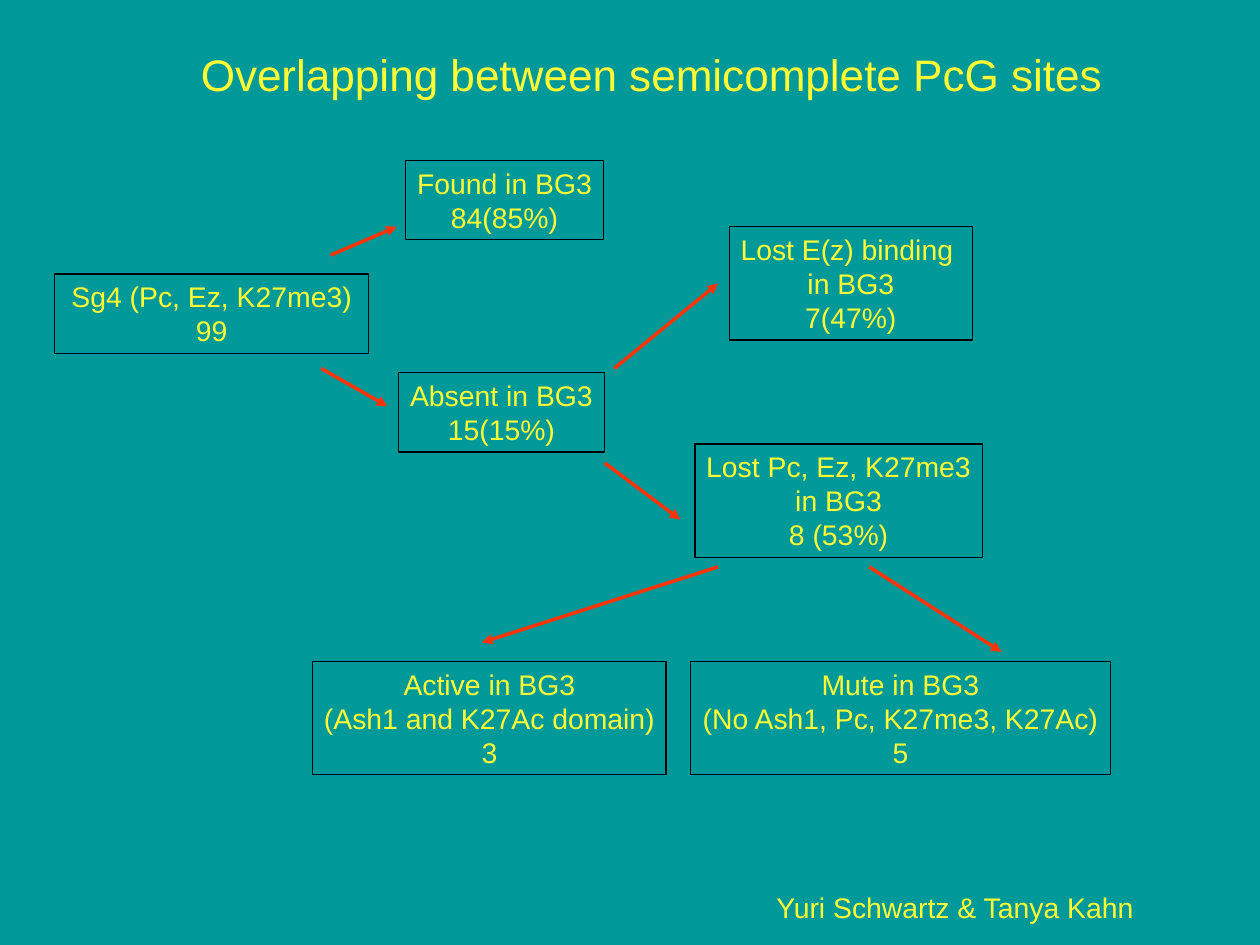
from dataclasses import dataclass

from lxml import etree
from pptx import Presentation, util as u
from pptx.dml.color import RGBColor
from pptx.enum import shapes, text
from pptx.oxml import ns

COLORS = {"background": "009999", "text": "FFFC35", "border": "000000", "arrow": "FF3300"}
FONT = "Arial"
CELLS_PER_INCH = 12
LINE_ROWS = 3.6
PADDING_ROWS = 1.2


@dataclass
class Box:
    column: float
    row: float
    columns: float
    lines: tuple[str, ...]


@dataclass
class Arrow:
    start: tuple[float, float]
    end: tuple[float, float]


BOXES = [
    Box(5.8, 29, 33.2, ("Sg4 (Pc, Ez, K27me3)", "99")),
    Box(42.95, 17, 20.9, ("Found in BG3", "84(85%)")),
    Box(42.2, 39.45, 21.75, ("Absent in BG3", "15(15%)")),
    Box(77.2, 24, 25.7, ("Lost E(z) binding ", "in BG3", "7(47%)")),
    Box(73.55, 47, 30.4, ("Lost Pc, Ez, K27me3", "in BG3", "8 (53%)")),
    Box(33.1, 70, 37.4, ("Active in BG3", "(Ash1 and K27Ac domain)", "3")),
    Box(73.1, 70, 44.4, ("Mute in BG3", "(No Ash1, Pc, K27me3, K27Ac)", "5")),
]
ARROWS = [
    Arrow((35, 27), (42, 24)),
    Arrow((34, 39), (41, 43)),
    Arrow((65, 39), (76, 30)),
    Arrow((64, 49), (72, 55)),
    Arrow((76, 60), (51, 68)),
    Arrow((92, 60), (106, 69)),
]


def cells(*counts: float) -> list[int]:
    """Convert grid columns or rows to slide lengths."""
    return [u.Inches(count / CELLS_PER_INCH) for count in counts]


def color(name: str) -> RGBColor:
    return RGBColor.from_string(COLORS[name])


def write_lines(shape, lines: tuple[str, ...], size: int, alignment: text.PP_ALIGN) -> None:
    frame = shape.text_frame
    frame.text = "\n".join(lines)
    frame.word_wrap = False
    frame.auto_size = text.MSO_AUTO_SIZE.NONE
    frame.vertical_anchor = text.MSO_ANCHOR.TOP
    for paragraph in frame.paragraphs:
        paragraph.alignment = alignment
        paragraph.font.name = FONT
        paragraph.font.size = u.Pt(size)
        paragraph.font.color.rgb = color("text")


def add_box(slide, box: Box) -> None:
    rows = len(box.lines) * LINE_ROWS + PADDING_ROWS
    shape = slide.shapes.add_shape(
        shapes.MSO_SHAPE.RECTANGLE, *cells(box.column, box.row, box.columns, rows))
    shape.shadow.inherit = False
    shape.fill.background()
    shape.line.color.rgb = color("border")
    shape.line.width = u.Pt(0.75)
    write_lines(shape, box.lines, 18, text.PP_ALIGN.CENTER)


def add_arrow(slide, arrow: Arrow) -> None:
    connector = slide.shapes.add_connector(
        shapes.MSO_CONNECTOR.STRAIGHT, *cells(*arrow.start, *arrow.end))
    connector.line.color.rgb = color("arrow")
    connector.line.width = u.Pt(2.25)
    properties = connector.element.spPr
    line = properties.find(ns.qn("a:ln"))
    etree.SubElement(line, ns.qn("a:tailEnd"), type="triangle")
    etree.SubElement(properties, ns.qn("a:effectLst"))


def main() -> None:
    presentation = Presentation()
    presentation.slide_width, presentation.slide_height = u.Pt(800.13), u.Pt(600.13)
    slide = presentation.slides.add_slide(presentation.slide_layouts.get_by_name("Title Only"))
    slide.background.fill.solid()
    slide.background.fill.fore_color.rgb = color("background")

    title = slide.shapes.title
    title.left, title.top, title.width, title.height = cells(20.05, 4.4, 98.5, 6.8)
    write_lines(title, ("Overlapping between semicomplete PcG sites",), 28, text.PP_ALIGN.LEFT)

    for box in BOXES:
        add_box(slide, box)
    for arrow in ARROWS:
        add_arrow(slide, arrow)

    authors = slide.shapes.add_textbox(*cells(81, 93.6, 41, 4.8))
    write_lines(authors, ("Yuri Schwartz & Tanya Kahn",), 18, text.PP_ALIGN.LEFT)
    presentation.save("out.pptx")


if __name__ == "__main__":
    main()
